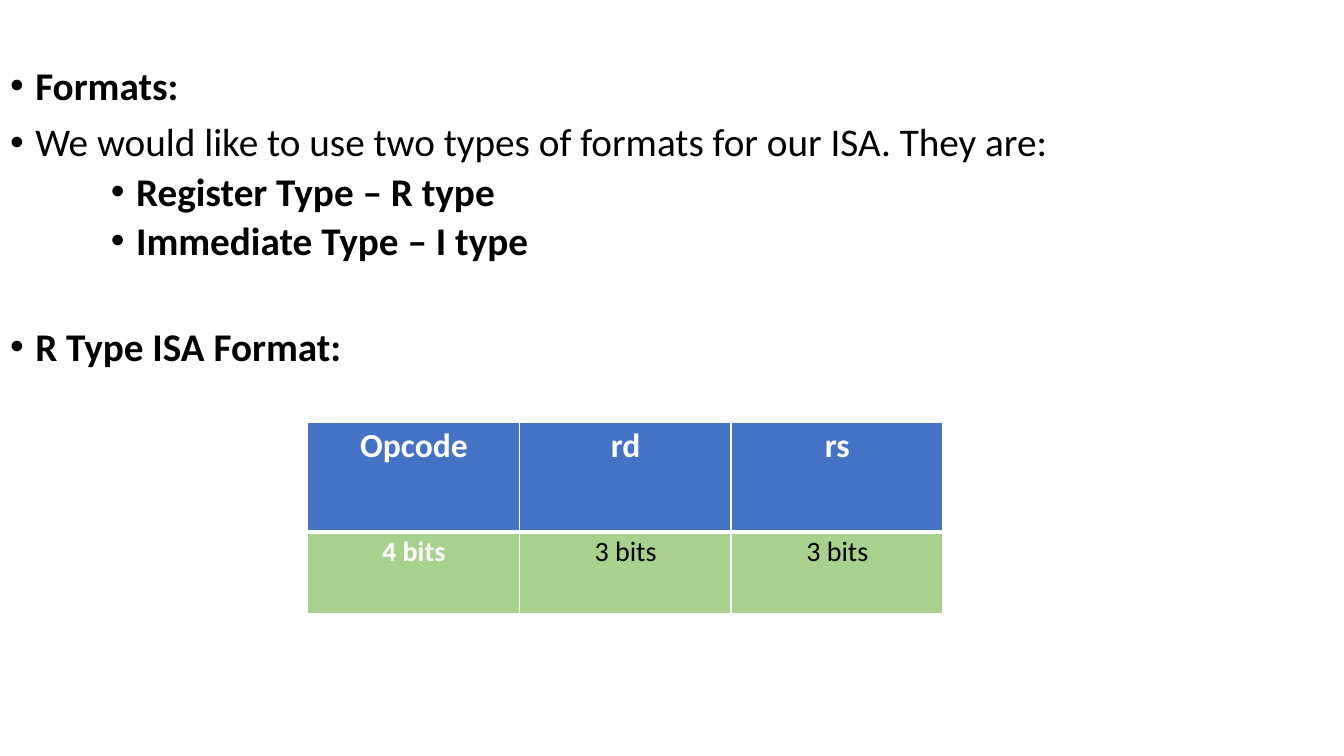
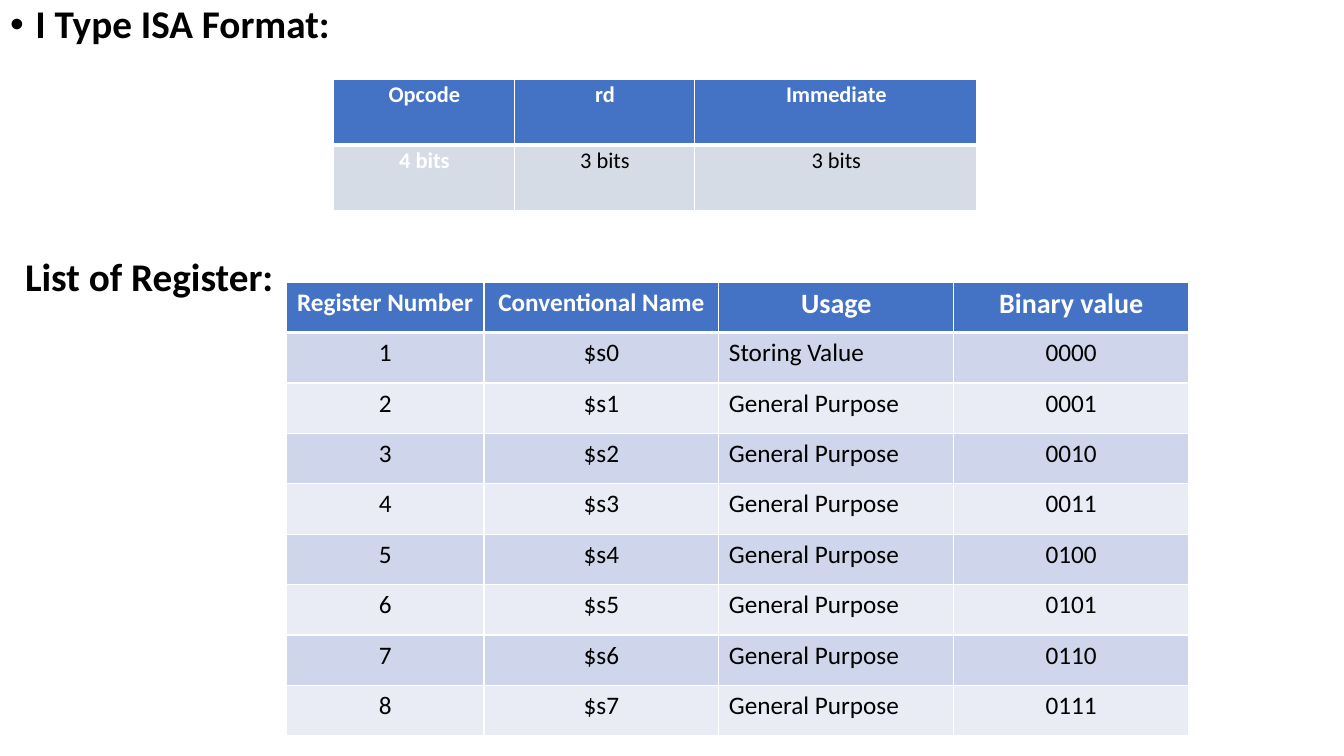
import pptx
import pptx.util
import pptx.dml.color
import pptx.enum.text
import pptx.oxml.ns
import lxml.etree

Inches, Pt = pptx.util.Inches, pptx.util.Pt
Align = pptx.enum.text.PP_ALIGN
Fit = pptx.enum.text.MSO_AUTO_SIZE
qn = pptx.oxml.ns.qn

# Shared colours
WHITE, BLACK, BLUE = "FFFFFF", "000000", "4472C4"
GREEN, GREY = "A9D18E", "D6DCE5"
BANDS = ["CFD5EA", "E9EBF5"]


def color(code):
    return pptx.dml.color.RGBColor.from_string(code)


def dress(item, values):
    for name, value in values.items():
        setattr(item, name, value)


class Deck:
    font = "Calibri"
    edge = {"L": 1, "R": 1, "T": 1, "B": 1}
    tight = {"margin_left": Inches(0.08), "margin_right": Inches(0.07),
             "margin_top": 0, "margin_bottom": 0}

    def __init__(self):
        self.show = pptx.Presentation()
        dress(self.show, {"slide_width": Inches(13.33),
                          "slide_height": Inches(7.5)})

    def page(self):
        layout = self.show.slide_layouts.get_by_name("Title and Content")
        self.slide = self.show.slides.add_slide(layout)
        title = self.slide.shapes.title._element
        title.getparent().remove(title)

    def words(self, para, text, size, bold=False, ink=BLACK, **style):
        run = para.add_run()
        run.text = text
        dress(run.font, {"name": self.font, "size": Pt(size), "bold": bold})
        run.font.color.rgb = color(ink)
        dress(para, style)

    def bullet(self, para, indent):
        props = para._p.get_or_add_pPr()
        props.set("marL", str(Inches(indent)))
        props.set("indent", str(Inches(-0.25)))
        face = lxml.etree.SubElement(props, qn("a:buFont"))
        face.set("typeface", "Arial")
        lxml.etree.SubElement(props, qn("a:buChar")).set("char", "•")

    def points(self, items, top=0.05):
        """Each item is text, bold, level and space before in points."""
        body = self.slide.placeholders[1]
        dress(body, {"left": 0, "top": 0, "width": self.show.slide_width,
                     "height": self.show.slide_height})
        frame = body.text_frame
        dress(frame, {"auto_size": Fit.NONE, "margin_top": Inches(top),
                      "vertical_anchor": pptx.enum.text.MSO_ANCHOR.TOP})
        for i, (text, bold, level, gap) in enumerate(items):
            para = frame.add_paragraph() if i else frame.paragraphs[0]
            self.words(para, text, 28, bold, level=level, line_spacing=0.9,
                       space_before=Pt(gap), alignment=Align.LEFT)
            self.bullet(para, 0.25 + level / 2)

    def label(self, text, left, top, width, height):
        box = self.slide.shapes.add_textbox(
            Inches(left), Inches(top), Inches(width), Inches(height))
        dress(box.text_frame, {"word_wrap": False,
                               "auto_size": Fit.SHAPE_TO_FIT_TEXT})
        self.words(box.text_frame.paragraphs[0], text, 28, True,
                   line_spacing=1.07, space_after=Pt(8))

    def border(self, cell, widths):
        props = cell._tc.get_or_add_tcPr()
        for i, (side, width) in enumerate(widths.items()):
            line = lxml.etree.Element(qn("a:ln" + side), w=str(Pt(width)))
            fill = lxml.etree.SubElement(line, qn("a:solidFill"))
            lxml.etree.SubElement(fill, qn("a:srgbClr")).set("val", WHITE)
            props.insert(i, line)

    def grid(self, left, top, cols, rows, data, look, margins=None):
        """look(row, col) gives the fill and the text style of a cell."""
        table = self.slide.shapes.add_table(
            len(rows), len(cols), Inches(left), Inches(top),
            Inches(sum(cols)), Inches(sum(rows))).table
        table.horz_banding = False
        for col, width in zip(table.columns, cols):
            col.width = Inches(width)
        for row, height in zip(table.rows, rows):
            row.height = Inches(height)
        for r, texts in enumerate(data):
            for c, text in enumerate(texts):
                cell = table.cell(r, c)
                fill, style = look(r, c)
                cell.fill.solid()
                cell.fill.fore_color.rgb = color(fill)
                dress(cell, margins or {})
                self.words(cell.text_frame.paragraphs[0], text, **style)
                thick = {0: {"B": 3}, 1: {"T": 3}}.get(r, {})
                self.border(cell, self.edge | thick)

    def fields(self, left, top, cols, rows, data, fill, sizes):
        """Instruction fields above their widths in bits."""
        def look(r, c):
            strong = r == 0 or c == 0
            return (fill if r else BLUE), {
                "size": sizes[r], "bold": strong,
                "ink": WHITE if strong else BLACK,
                "alignment": Align.CENTER, "line_spacing": 1.07}
        self.grid(left, top, cols, rows, data, look, self.tight)


def register(r, c):
    if r == 0:
        return BLUE, {"size": 18 if c < 2 else 20, "bold": True,
                      "ink": WHITE, "alignment": Align.CENTER}
    side = Align.LEFT if c == 2 else Align.CENTER
    return BANDS[(r - 1) % 2], {"size": 18, "alignment": side}


deck = Deck()
bits = ["4 bits", "3 bits", "3 bits"]

# Slide 1: format types and the R type
deck.page()
deck.points([
    ("Formats:", True, 0, 10),
    ("We would like to use two types of formats for our ISA. They are:",
     False, 0, 10),
    ("Register Type – R type", True, 2, 5),
    ("Immediate Type – I type", True, 2, 5),
    ("R Type ISA Format:", True, 0, 45.5),
], top=0.66)
deck.fields(3.05, 4.19, [2.1] * 3, [1.09, 0.81],
            [["Opcode", "rd", "rs"], bits], GREEN, [24, 20])

# Slide 2: the I type and the registers
deck.page()
deck.points([("I Type ISA Format:", True, 0, 10)])
deck.fields(3.31, 0.79, [1.79, 1.79, 2.8], [0.65] * 2,
            [["Opcode", "rd", "Immediate"], bits], GREY, [16, 16])
deck.label("List of Register:", 0.15, 2.42, 2.69, 0.58)
heads = ["Register Number", "Conventional Name", "Usage", "Binary value"]
names = [[str(n + 1), f"$s{n}", "General Purpose" if n else "Storing Value",
          f"{n:04b}"] for n in range(8)]
deck.grid(2.84, 2.8, [1.96] + [2.33] * 3, [0.5] * 9, [heads] + names, register)

deck.show.save("out.pptx")
